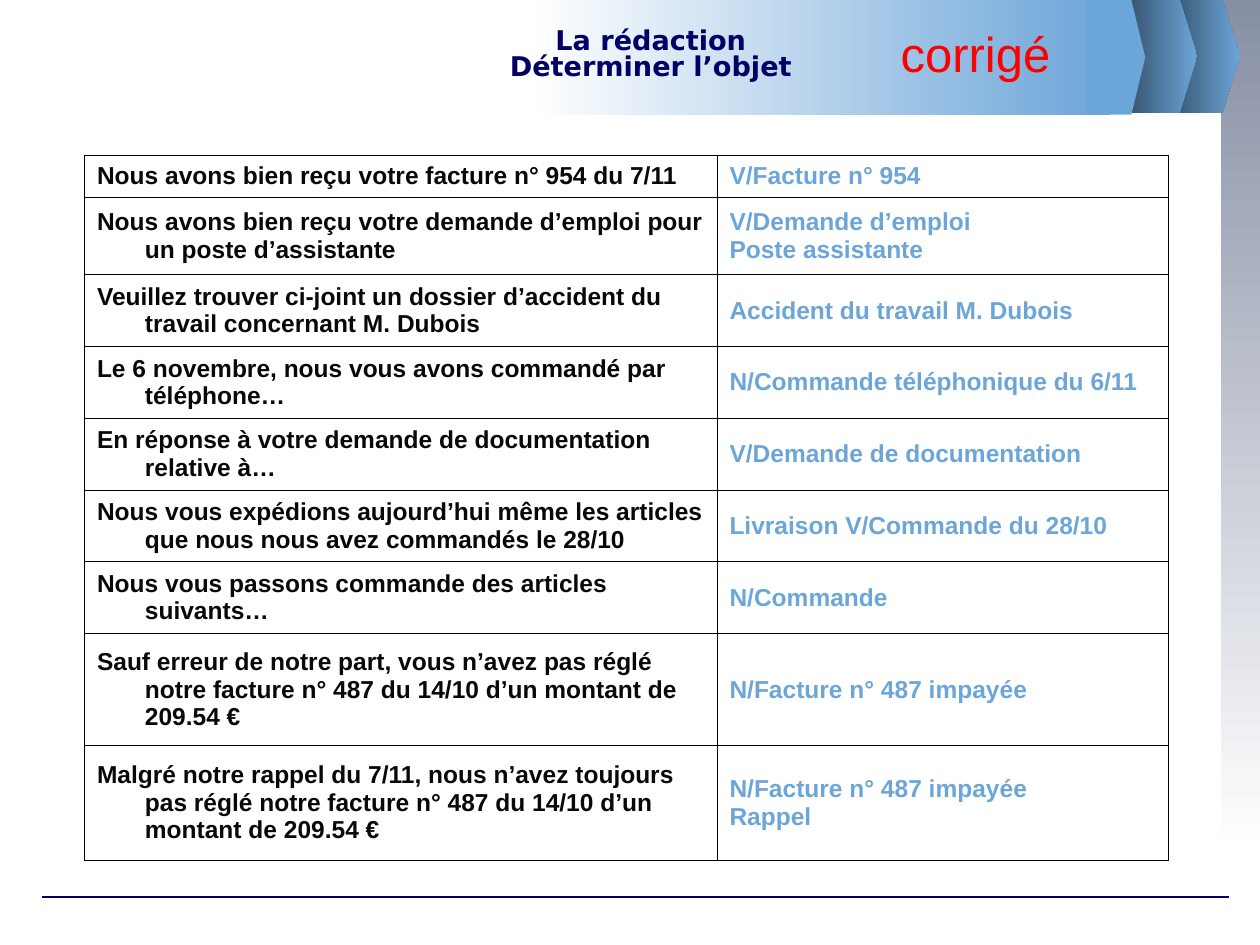
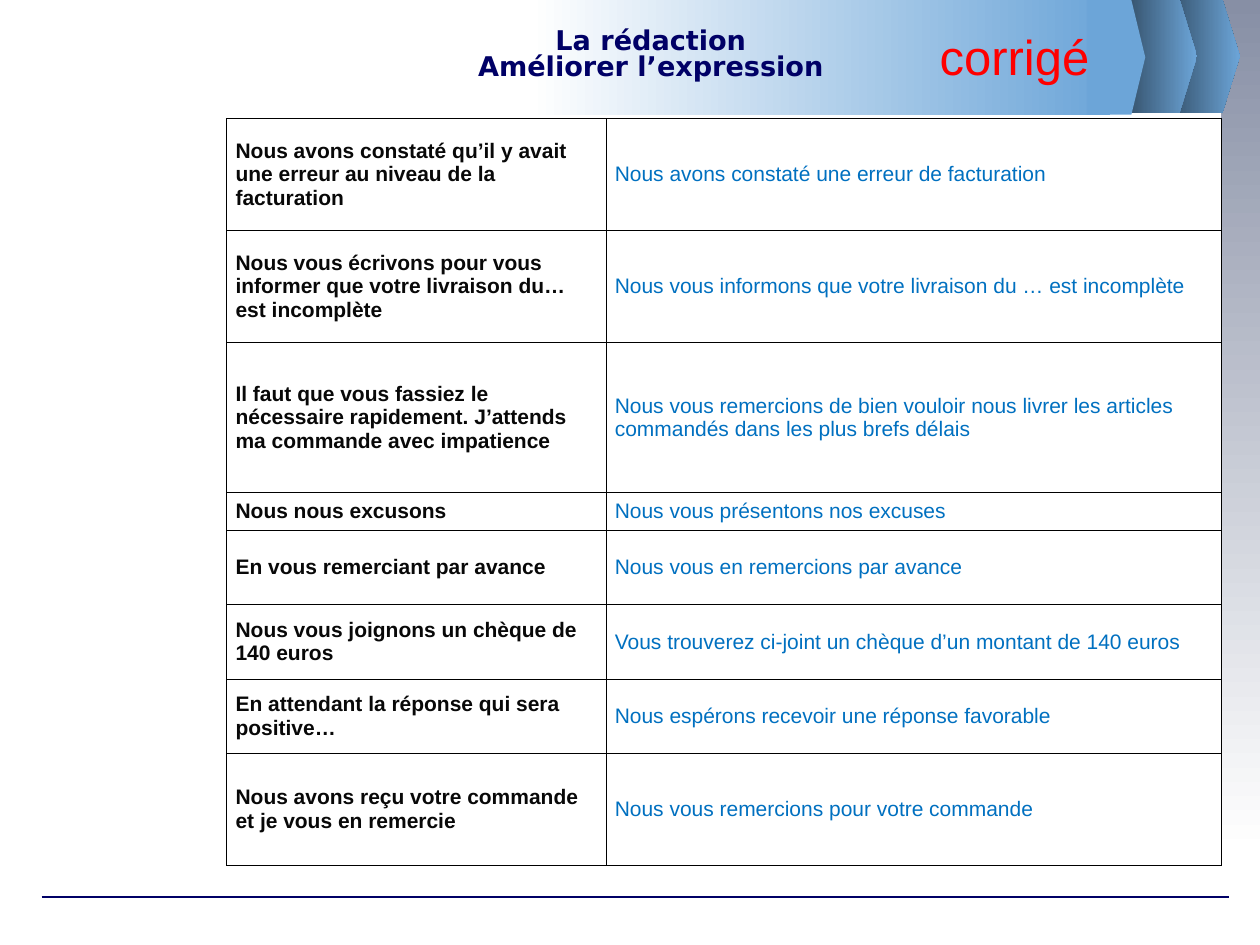
from dataclasses import dataclass

from lxml.etree import SubElement
from pptx import Presentation
from pptx.dml.color import RGBColor
from pptx.enum.shapes import MSO_CONNECTOR, MSO_SHAPE
from pptx.enum.text import MSO_ANCHOR, MSO_AUTO_SIZE, PP_ALIGN
from pptx.oxml.ns import qn
from pptx.util import Inches, Pt


@dataclass(frozen=True)
class Theme:
    navy: RGBColor = RGBColor.from_string("000066")
    sky: RGBColor = RGBColor.from_string("6CA5D8")
    steel: RGBColor = RGBColor.from_string("324C64")
    slate: RGBColor = RGBColor.from_string("878FA5")
    white: RGBColor = RGBColor.from_string("FFFFFF")
    ink: RGBColor = RGBColor.from_string("080808")
    blue: RGBColor = RGBColor.from_string("0070C0")
    red: RGBColor = RGBColor.from_string("FF0000")
    border: RGBColor = RGBColor.from_string("000000")
    title_font: str = "DejaVu Sans"
    body_font: str = "Arial"
    title_size: float = 15.5
    stamp_size: float = 28
    rule_width: float = 0.75
    border_width: float = 0.45


THEME = Theme()


@dataclass(frozen=True)
class Chevron:
    left: float
    top: float
    body: float
    tip: float
    start: RGBColor


@dataclass(frozen=True)
class AnswerTable:
    left: float
    top: float
    cols: tuple[float, float]
    heights: tuple[float, ...]
    rows: tuple[tuple[str, str], ...]
    size: float
    margin: float
    answer_color: RGBColor
    answer_bold: bool
    hanging: float = 0
    fill: RGBColor | None = None


@dataclass(frozen=True)
class Lesson:
    title: str
    stamp_at: tuple[float, float]
    table: AnswerTable


CHEVRONS = (
    Chevron(9.25, -0.01, 0.45, 0.14, THEME.steel),
    Chevron(8.91, -0.01, 0.45, 0.14, THEME.steel),
    Chevron(8.63, 0, 0.35, 0.11, THEME.sky),
)

LESSONS = (
    Lesson(
        "La rédaction\vDéterminer l’objet",
        (7.05, 0.14),
        AnswerTable(
            0.67, 1.23, (5.02, 3.58),
            (0.34, 0.61, *[0.57] * 5, 0.89, 0.91),
            (
                ("Nous avons bien reçu votre facture n° 954 du 7/11",
                 "V/Facture n° 954"),
                ("Nous avons bien reçu votre demande d’emploi pour un poste d’assistante",
                 "V/Demande d’emploi\nPoste assistante"),
                ("Veuillez trouver ci-joint un dossier d’accident du travail concernant M. Dubois",
                 "Accident du travail M. Dubois"),
                ("Le 6 novembre, nous vous avons commandé par téléphone…",
                 "N/Commande téléphonique du 6/11"),
                ("En réponse à votre demande de documentation relative à…",
                 "V/Demande de documentation"),
                ("Nous vous expédions aujourd’hui même les articles que nous nous avez "
                 "commandés le 28/10",
                 "Livraison V/Commande du 28/10"),
                ("Nous vous passons commande des articles suivants…",
                 "N/Commande"),
                ("Sauf erreur de notre part, vous n’avez pas réglé notre facture n° 487 "
                 "du 14/10 d’un montant de 209.54 €",
                 "N/Facture n° 487 impayée"),
                ("Malgré notre rappel du 7/11, nous n’avez toujours pas réglé notre "
                 "facture n° 487 du 14/10 d’un montant de 209.54 €",
                 "N/Facture n° 487 impayée\nRappel"),
            ),
            size=14, margin=0.1, answer_color=THEME.sky, answer_bold=True,
            hanging=0.38, fill=THEME.white,
        ),
    ),
    Lesson(
        "La rédaction\vAméliorer l’expression",
        (7.36, 0.16),
        AnswerTable(
            1.8, 0.94, (3.01, 4.88),
            (0.89, 0.89, 1.19, 0.3, *[0.59] * 3, 0.89),
            (
                ("Nous avons constaté qu’il y avait une erreur au niveau de la facturation",
                 "Nous avons constaté une erreur de facturation"),
                ("Nous vous écrivons pour vous informer que votre livraison du… est incomplète",
                 "Nous vous informons que votre livraison du … est incomplète"),
                ("Il faut que vous fassiez le nécessaire rapidement. J’attends ma commande "
                 "avec impatience",
                 "Nous vous remercions de bien vouloir nous livrer les articles commandés "
                 "dans les plus brefs délais"),
                ("Nous nous excusons", "Nous vous présentons nos excuses"),
                ("En vous remerciant par avance", "Nous vous en remercions par avance"),
                ("Nous vous joignons un chèque de 140 euros",
                 "Vous trouverez ci-joint un chèque d’un montant de 140 euros"),
                ("En attendant la réponse qui sera positive…",
                 "Nous espérons recevoir une réponse favorable"),
                ("Nous avons reçu votre commande et je vous en remercie",
                 "Nous vous remercions pour votre commande"),
            ),
            size=12, margin=0.07, answer_color=THEME.blue, answer_bold=False,
        ),
    ),
)


def set_font(p, name: str, size: float, color: RGBColor, bold: bool) -> None:
    p.font.name = name
    p.font.size = Pt(size)
    p.font.color.rgb = color
    p.font.bold = bold


def paint(sp, start: RGBColor, end: RGBColor, angle: float = 0) -> None:
    """Fill with a two-stop gradient; the angle runs counter-clockwise."""
    sp.shadow.inherit = False
    sp.line.fill.background()
    sp.fill.gradient()
    sp.fill.gradient_angle = angle
    for stop, color, position in zip(sp.fill.gradient_stops, (start, end), (0, 1)):
        stop.color.rgb = color
        stop.position = position


def add_band(shapes, left: float, width: float, height: float):
    return shapes.add_shape(
        MSO_SHAPE.RECTANGLE, Inches(left), 0, Inches(width), Inches(height))


def add_chevron(shapes, item: Chevron) -> None:
    height = 0.91
    shoulder = item.left + item.body
    bottom = item.top + height
    outline = (
        (shoulder, item.top),
        (shoulder + item.tip, item.top + height / 2),
        (shoulder, bottom),
        (item.left, bottom),
    )
    builder = shapes.build_freeform(Inches(item.left), Inches(item.top))
    builder.add_line_segments([(Inches(x), Inches(y)) for x, y in outline])
    sp = builder.convert_to_shape()
    paint(sp, item.start, THEME.sky)
    if item.start == THEME.sky:
        sp.fill.solid()
        sp.fill.fore_color.rgb = THEME.sky


def decorate_layout(layout, slide) -> None:
    """Draw the shared bands on a slide, then move them to its layout."""
    shapes = slide.shapes
    own = {sp.shape_id for sp in shapes}
    paint(add_band(shapes, 9.69, 0.31, 6.77), THEME.slate, THEME.white, 270)

    rule = shapes.add_connector(
        MSO_CONNECTOR.STRAIGHT, Inches(0.33), Inches(7.12), Inches(9.75), Inches(7.12))
    rule.line.color.rgb = THEME.navy
    rule.line.width = Pt(THEME.rule_width)
    SubElement(rule._element.spPr, qn("a:effectLst"))

    *dark_chevrons, banner_end = CHEVRONS
    for item in dark_chevrons:
        add_chevron(shapes, item)
    paint(add_band(shapes, 4.21, 4.6, 0.91), THEME.white, THEME.sky)
    add_chevron(shapes, banner_end)

    next_id = max(sp.shape_id for sp in layout.shapes) + 1
    shared = [sp for sp in shapes if sp.shape_id not in own]
    for shape_id, sp in enumerate(shared, next_id):
        sp._element.xpath(".//p:cNvPr")[0].set("id", str(shape_id))
        layout.shapes._spTree.append(sp._element)


def set_title(slide, text: str) -> None:
    sp = slide.shapes.title
    sp.left, sp.top, sp.width, sp.height = map(Inches, (1.25, 0.12, 7.83, 0.65))
    tf = sp.text_frame
    tf.text = text
    tf.word_wrap = True
    tf.auto_size = MSO_AUTO_SIZE.NONE
    tf.vertical_anchor = MSO_ANCHOR.MIDDLE
    p = tf.paragraphs[0]
    p.alignment = PP_ALIGN.CENTER
    p.line_spacing = 0.8
    set_font(p, THEME.title_font, THEME.title_size, THEME.navy, True)


def add_stamp(slide, left: float, top: float) -> None:
    sp = slide.shapes.add_textbox(Inches(left), Inches(top), Inches(1.97), Inches(0.57))
    tf = sp.text_frame
    tf.word_wrap = True
    tf.auto_size = MSO_AUTO_SIZE.SHAPE_TO_FIT_TEXT
    tf.text = "corrigé"
    set_font(tf.paragraphs[0], THEME.body_font, THEME.stamp_size, THEME.red, False)


def add_borders(cell) -> None:
    tcPr = cell._tc.get_or_add_tcPr()
    for side in ("lnL", "lnR", "lnT", "lnB"):
        ln = SubElement(tcPr, qn(f"a:{side}"), w=str(Pt(THEME.border_width)))
        fill = SubElement(ln, qn("a:solidFill"))
        SubElement(fill, qn("a:srgbClr"), val=str(THEME.border))


def fill_cell(cell, text: str, spec: AnswerTable, color: RGBColor, bold: bool) -> None:
    add_borders(cell)
    if spec.fill is None:
        cell.fill.background()
    else:
        cell.fill.solid()
        cell.fill.fore_color.rgb = spec.fill
    cell.vertical_anchor = MSO_ANCHOR.MIDDLE
    cell.margin_left = cell.margin_right = Inches(spec.margin)
    cell.margin_top = cell.margin_bottom = Inches(0.05)
    cell.text_frame.text = text
    for p in cell.text_frame.paragraphs:
        if spec.hanging:
            pPr = p._p.get_or_add_pPr()
            pPr.set("marL", str(Inches(spec.hanging)))
            pPr.set("indent", str(-Inches(spec.hanging)))
        set_font(p, THEME.body_font, spec.size, color, bold)


def add_answer_table(slide, spec: AnswerTable) -> None:
    table = slide.shapes.add_table(
        len(spec.rows), len(spec.cols), Inches(spec.left), Inches(spec.top),
        Inches(sum(spec.cols)), Inches(sum(spec.heights))).table
    table.first_row = table.horz_banding = False
    for column, width in zip(table.columns, spec.cols):
        column.width = Inches(width)
    for row, height, (phrase, answer) in zip(table.rows, spec.heights, spec.rows):
        row.height = Inches(height)
        fill_cell(row.cells[0], phrase, spec, THEME.ink, True)
        fill_cell(row.cells[1], answer, spec, spec.answer_color, spec.answer_bold)


def main() -> None:
    prs = Presentation()
    prs.slide_width, prs.slide_height = Inches(10), Inches(7.5)
    layout = prs.slide_layouts.get_by_name("Title Only")
    for number, lesson in enumerate(LESSONS):
        slide = prs.slides.add_slide(layout)
        if number == 0:
            decorate_layout(layout, slide)
        set_title(slide, lesson.title)
        add_answer_table(slide, lesson.table)
        add_stamp(slide, *lesson.stamp_at)
    prs.save("out.pptx")


if __name__ == "__main__":
    main()
